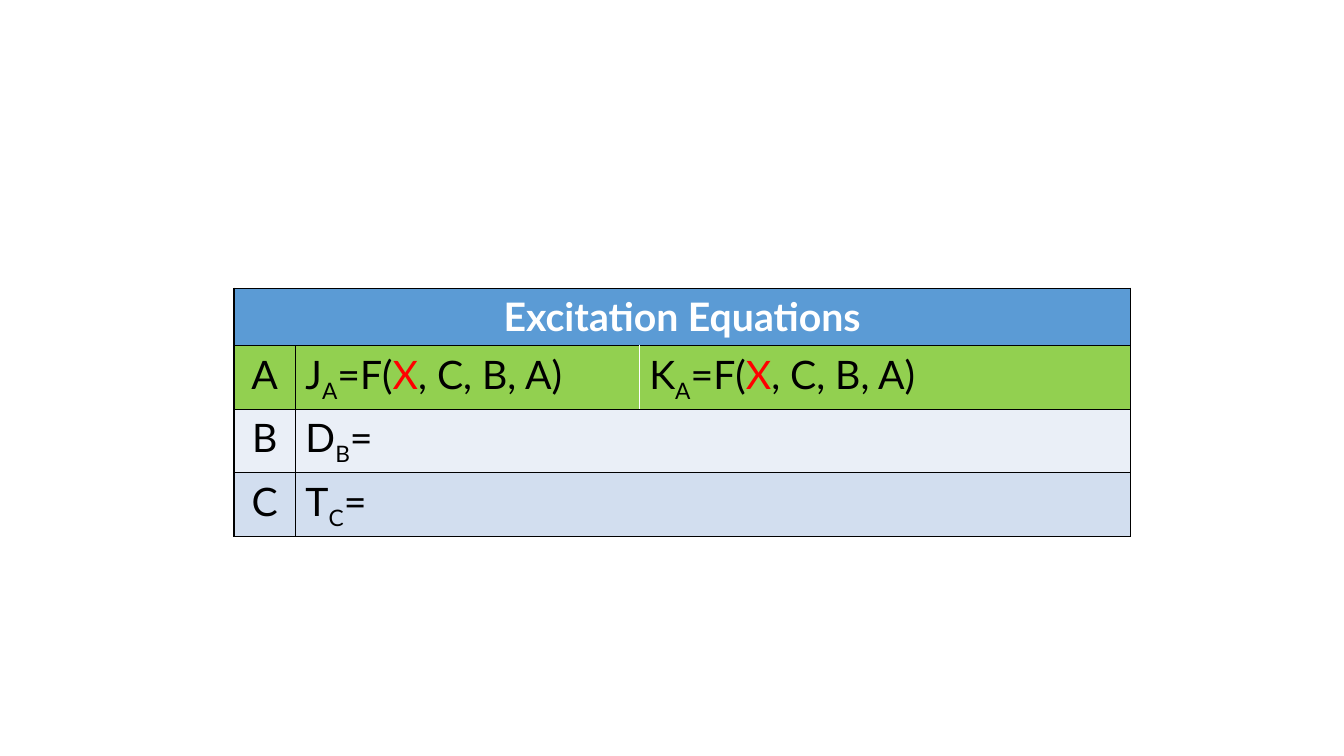
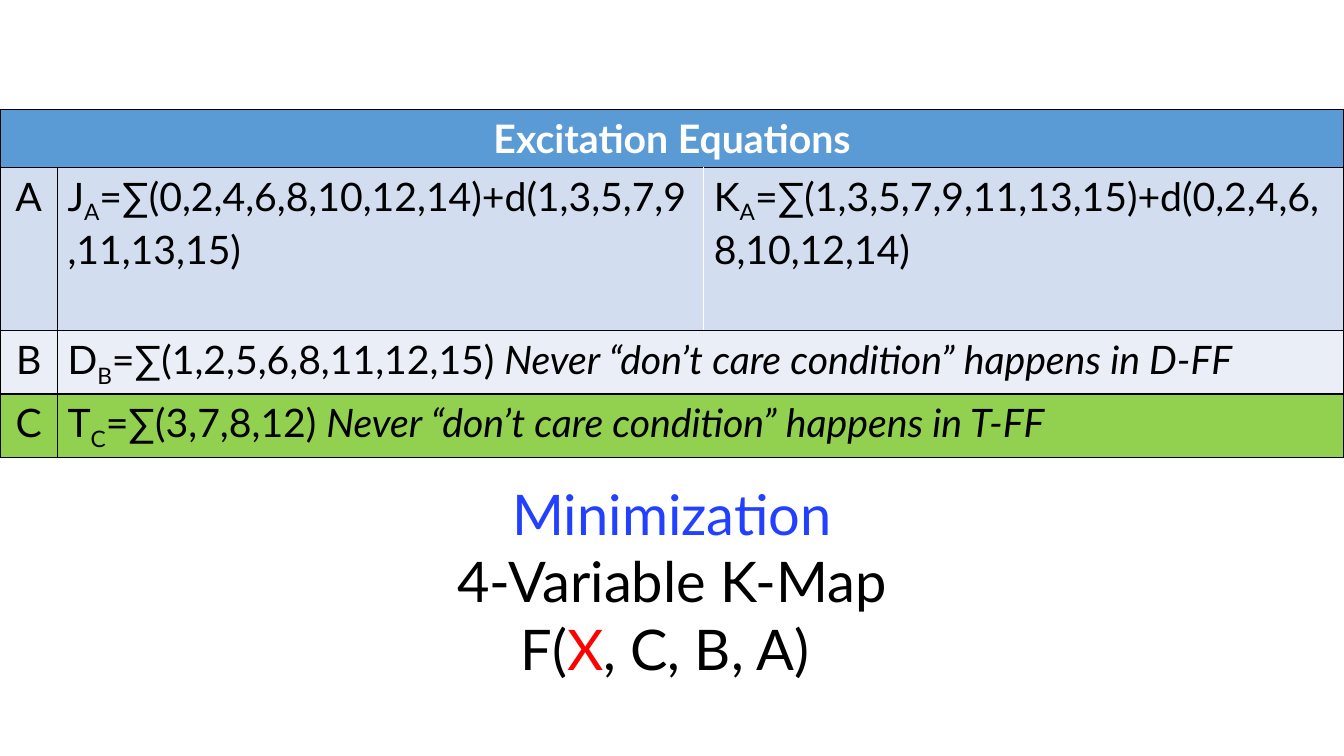
from dataclasses import dataclass, field
from typing import Optional

from lxml.etree import SubElement
from pptx import Presentation
from pptx.dml.color import RGBColor
from pptx.enum.text import PP_ALIGN
from pptx.oxml import parse_xml
from pptx.oxml.ns import nsdecls, qn
from pptx.util import Inches, Pt

FONT = "Lato"
BLACK, WHITE, RED, BLUE = "000000", "FFFFFF", "FF0000", "2240FF"
HEADER, GREEN, PALE, LIGHT = "5B9BD5", "92D050", "EAEFF7", "D2DEEF"
HEADER_HEIGHT, ROW_HEIGHT = 0.57, 0.63


@dataclass
class Run:
    text: str
    color: str = BLACK
    fmt: dict = field(default_factory=dict)
    subscript: bool = False


@dataclass
class Equation:
    state: str
    fill: str
    left: list[Run]
    right: Optional[list[Run]] = None
    height: float = ROW_HEIGHT


@dataclass
class EquationTable:
    left: float
    top: float
    widths: tuple[float, float, float]
    equations: list[Equation]


def rgb(color: str) -> RGBColor:
    return RGBColor.from_string(color)


def write(p, runs: list[Run], size: int, align=PP_ALIGN.LEFT) -> None:
    p.alignment = align
    for run in runs:
        r = p.add_run()
        r.text = run.text
        for name, value in {"name": FONT, "size": Pt(size), "bold": False, **run.fmt}.items():
            setattr(r.font, name, value)
        r.font.color.rgb = rgb(run.color)
        if run.subscript:
            r.font._element.set("baseline", "-25000")


def style_cell(cell, fill: str, borders: dict[str, str]) -> None:
    cell.fill.solid()
    cell.fill.fore_color.rgb = rgb(fill)
    tc_pr = cell._tc.get_or_add_tcPr()
    for i, side in enumerate("LRTB"):
        ln = parse_xml(f'<a:ln{side} {nsdecls("a")} w="{Pt(1)}"/>')
        solid = SubElement(ln, qn("a:solidFill"))
        SubElement(solid, qn("a:srgbClr"), val=borders.get(side, BLACK))
        tc_pr.insert(i, ln)


def add_equations(s, spec_table: EquationTable) -> None:
    equations = spec_table.equations
    heights = [HEADER_HEIGHT] + [eq.height for eq in equations]
    table = s.shapes.add_table(
        len(heights), 3, Inches(spec_table.left), Inches(spec_table.top),
        Inches(sum(spec_table.widths)), Inches(sum(heights))).table
    table.horz_banding = False
    for col, width in zip(table.columns, spec_table.widths):
        col.width = Inches(width)
    for row, height in zip(table.rows, heights):
        row.height = Inches(height)

    for i, fill in enumerate([HEADER] + [eq.fill for eq in equations]):
        split = i > 0 and equations[i - 1].right is not None
        for j in range(3):
            inner = {1: {"R": WHITE}, 2: {"L": WHITE}}.get(j, {}) if split else {}
            style_cell(table.cell(i, j), fill, inner)

    def fill_cell(i: int, j: int, runs: list[Run], align=PP_ALIGN.LEFT) -> None:
        write(table.cell(i, j).text_frame.paragraphs[0], runs, 28, align)

    table.cell(0, 0).merge(table.cell(0, 2))
    fill_cell(0, 0, [Run("Excitation Equations", WHITE, {"bold": True})], PP_ALIGN.CENTER)
    for i, eq in enumerate(equations, 1):
        fill_cell(i, 0, [Run(eq.state)], PP_ALIGN.CENTER)
        fill_cell(i, 1, eq.left)
        if eq.right:
            fill_cell(i, 2, eq.right)
        else:
            table.cell(i, 1).merge(table.cell(i, 2))


def add_text(s, left: float, top: float, width: float, height: float,
             lines: list[list[Run]], size: int) -> None:
    sp = s.shapes.add_textbox(Inches(left), Inches(top), Inches(width), Inches(height))
    tf = sp.text_frame
    tf.word_wrap = True
    for i, runs in enumerate(lines):
        p = tf.paragraphs[0] if i == 0 else tf.add_paragraph()
        write(p, runs, size, PP_ALIGN.CENTER)


def signal(letter: str, state: str, *rest: Run) -> list[Run]:
    return [Run(letter), Run(state, subscript=True), *rest]


def function(prefix: str = "", suffix: str = "") -> list[Run]:
    return [Run(f"{prefix}F("), Run("X", RED), Run(f", C, B, A){suffix}")]


def never(flip_flop: str) -> Run:
    return Run(f"Never “don’t care condition” happens in {flip_flop}", fmt={"italic": True})


def main() -> None:
    prs = Presentation()
    prs.slide_width, prs.slide_height = Inches(13.33), Inches(7.5)
    blank = prs.slide_layouts[6]

    s = prs.slides.add_slide(blank)
    add_equations(s, EquationTable(2.32, 2.86, (0.61, 3.41, 4.87), [
        Equation("A", GREEN, signal("J", "A", *function("=")), signal("K", "A", *function("="))),
        Equation("B", PALE, signal("D", "B", Run("="))),
        Equation("C", LIGHT, signal("T", "C", Run("="))),
    ]))

    s = prs.slides.add_slide(blank)
    add_equations(s, EquationTable(0, 1.09, (0.57, 6.41, 6.35), [
        Equation("A", LIGHT,
                 signal("J", "A", Run("=∑(0,2,4,6,8,10,12,14)+d(1,3,5,7,9,11,13,15)")),
                 signal("K", "A", Run("=∑(1,3,5,7,9,11,13,15)+d(0,2,4,6,8,10,12,14)")),
                 height=1.62),
        Equation("B", PALE, signal("D", "B", Run("=∑(1,2,5,6,8,11,12,15) "), never("D-FF"))),
        Equation("C", GREEN, signal("T", "C", Run("=∑(3,7,8,12) "), never("T-FF"))),
    ]))
    add_text(s, 1.16, 4.71, 11.01, 2.79, [
        [Run("Minimization", BLUE)],
        [Run("4-Variable K-Map")],
        function(suffix=" "),
    ], 40)

    prs.save("out.pptx")


if __name__ == "__main__":
    main()
